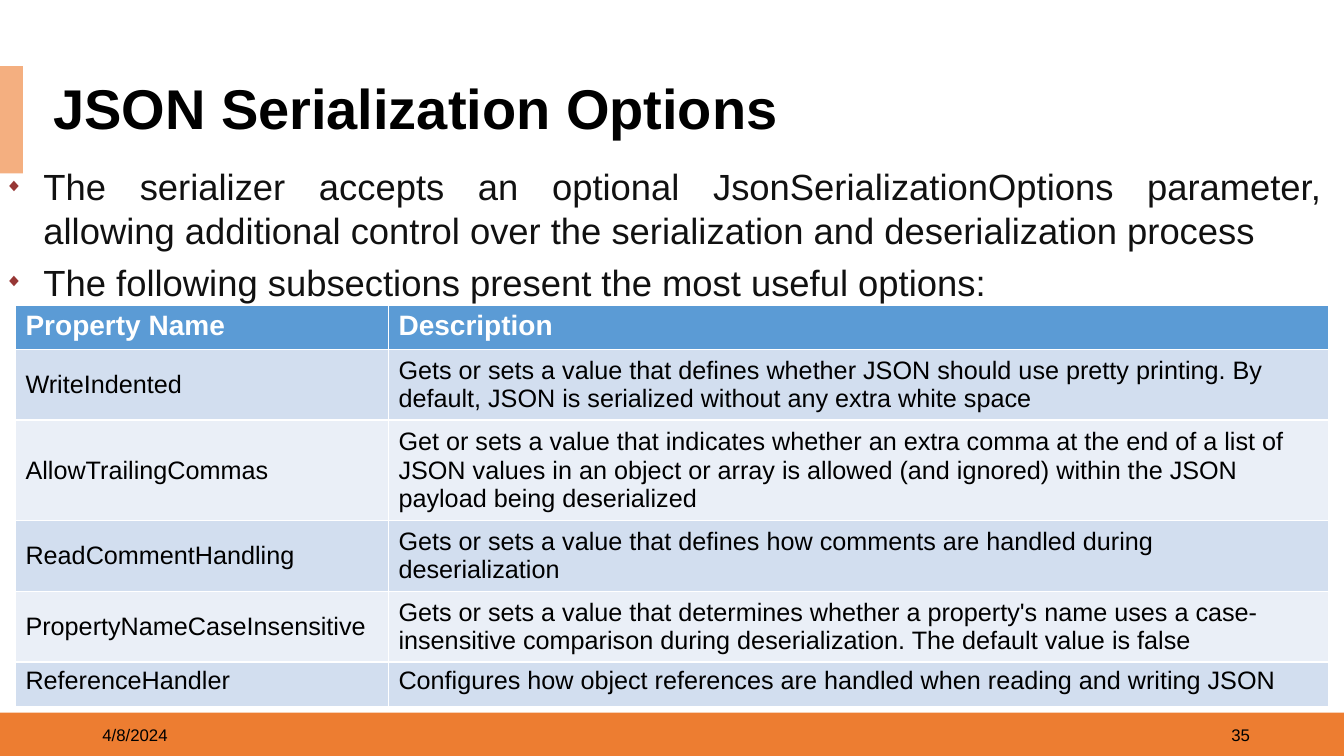
"""Build the slide on JSON serialization options."""
from dataclasses import dataclass

from lxml import etree
from pptx import Presentation
from pptx import util as u
from pptx.dml.color import RGBColor
from pptx.enum import shapes, text
from pptx.oxml import ns

WHITE = RGBColor(0xFF, 0xFF, 0xFF)
BLACK = RGBColor(0, 0, 0)
INK = RGBColor(0x11, 0x11, 0x11)
ORANGE = RGBColor(0xED, 0x7D, 0x31)
PEACH = RGBColor(0xF4, 0xAF, 0x80)
BLUE = RGBColor(0x5B, 0x9B, 0xD5)
BANDS = RGBColor(0xD2, 0xDE, 0xEF), RGBColor(0xEA, 0xEF, 0xF7)
RUBY = RGBColor(0x97, 0x37, 0x35)
FACE = "Arial"
INDENT = u.Cm(0.97)


@dataclass(frozen=True)
class Box:
    left: float
    top: float
    width: float
    height: float

    def edges(self) -> list[u.Length]:
        return [u.Cm(n) for n in (self.left, self.top, self.width, self.height)]


@dataclass(frozen=True)
class Bar:
    box: Box
    fill: RGBColor


@dataclass(frozen=True)
class Note:
    box: Box
    words: str
    align: text.PP_ALIGN


@dataclass(frozen=True)
class Option:
    name: str
    about: str
    height: float
    anchor: text.MSO_ANCHOR = text.MSO_ANCHOR.MIDDLE


BARS = [
    Bar(Box(0, 17.96, 33.87, 1.12), ORANGE),
    Bar(Box(0, 1.67, 0.58, 2.7), PEACH),
]
NOTES = [
    Note(Box(2.33, 18.01, 7.62, 1.01), "4/8/2024", text.PP_ALIGN.LEFT),
    Note(Box(24.13, 18.01, 7.62, 1.01), "35", text.PP_ALIGN.RIGHT),
]
TITLE = Box(1.09, 2.01, 30.99, 1.6)
BODY = Box(-0.13, 4.01, 33.73, 3.7)
TABLE = Box(0.39, 7.7, 33.1, 10.09)
COLS = 9.4, 23.7
POINTS = [
    "The serializer accepts an optional JsonSerializationOptions parameter, allowing "
    "additional control over the serialization and deserialization process",
    "The following subsections present the most useful options:",
]
HEAD = Option("Property Name", "Description", 1.1, text.MSO_ANCHOR.TOP)
OPTIONS = [
    Option("WriteIndented",
           "Gets or sets a value that defines whether JSON should use pretty printing. "
           "By default, JSON is serialized without any extra white space", 1.78),
    Option("AllowTrailingCommas",
           "Get or sets a value that indicates whether an extra comma at the end of a list of "
           "JSON values in an object or array is allowed (and ignored) within the JSON "
           "payload being deserialized", 2.54),
    Option("ReadCommentHandling",
           "Gets or sets a value that defines how comments are handled during "
           "deserialization", 1.78),
    Option("PropertyNameCaseInsensitive",
           "Gets or sets a value that determines whether a property's name uses a "
           "case-insensitive comparison during deserialization. The default value is false",
           1.78),
    Option("ReferenceHandler",
           "Configures how object references are handled when reading and writing JSON",
           1.11, text.MSO_ANCHOR.TOP),
]


def style(para, size: float, color: RGBColor, bold: bool = False) -> None:
    font = para.font
    font.name, font.size, font.bold = FACE, u.Pt(size), bold
    font.color.rgb = color


def place(shape, box: Box) -> None:
    shape.left, shape.top, shape.width, shape.height = box.edges()


def bullet(para) -> None:
    props = para._p.get_or_add_pPr()
    props.set("marL", str(INDENT))
    props.set("indent", str(-INDENT))
    color = etree.SubElement(props, ns.qn("a:buClr"))
    etree.SubElement(color, ns.qn("a:srgbClr"), val=str(RUBY))
    etree.SubElement(props, ns.qn("a:buSzPct"), val="50000")
    etree.SubElement(props, ns.qn("a:buChar"), char="◆")
    tabs = etree.SubElement(props, ns.qn("a:tabLst"))
    etree.SubElement(tabs, ns.qn("a:tab"), pos=str(u.Cm(0.66)), algn="l")


def draw_bar(slide, bar: Bar) -> None:
    shape = slide.shapes.add_shape(shapes.MSO_SHAPE.RECTANGLE, *bar.box.edges())
    shape.shadow.inherit = False
    shape.fill.solid()
    shape.fill.fore_color.rgb = bar.fill
    shape.line.fill.background()


def draw_note(slide, note: Note) -> None:
    frame = slide.shapes.add_textbox(*note.box.edges()).text_frame
    frame.word_wrap = True
    frame.vertical_anchor = text.MSO_ANCHOR.MIDDLE
    para = frame.paragraphs[0]
    para.text, para.alignment = note.words, note.align
    style(para, 12, BLACK)


def draw_title(slide) -> None:
    title = slide.shapes.title
    place(title, TITLE)
    title.fill.solid()
    title.fill.fore_color.rgb = WHITE
    frame = title.text_frame
    frame.text = "JSON Serialization Options"
    frame.auto_size = text.MSO_AUTO_SIZE.NONE
    frame.vertical_anchor = text.MSO_ANCHOR.MIDDLE
    para = frame.paragraphs[0]
    para.alignment, para.line_spacing = text.PP_ALIGN.LEFT, 0.9
    style(para, 40, BLACK, True)


def draw_body(slide) -> None:
    body = slide.placeholders[1]
    place(body, BODY)
    frame = body.text_frame
    frame.text = "\n".join(POINTS)
    frame.auto_size = text.MSO_AUTO_SIZE.NONE
    for i, para in enumerate(frame.paragraphs):
        para.alignment = text.PP_ALIGN.JUSTIFY
        para.space_before = u.Pt(3 if i else 0)
        para.space_after = u.Pt(3)
        bullet(para)
        style(para, 26, INK)


def draw_table(slide) -> None:
    rows = [HEAD, *OPTIONS]
    table = slide.shapes.add_table(len(rows), len(COLS), *TABLE.edges()).table
    for col, width in zip(table.columns, COLS):
        col.width = u.Cm(width)
    for i, row in enumerate(rows):
        table.rows[i].height = u.Cm(row.height)
        head = i == 0
        for j, words in enumerate((row.name, row.about)):
            cell = table.cell(i, j)
            cell.text = words
            cell.vertical_anchor = row.anchor
            cell.fill.solid()
            cell.fill.fore_color.rgb = BLUE if head else BANDS[(i - 1) % 2]
            para = cell.text_frame.paragraphs[0]
            para.alignment = text.PP_ALIGN.JUSTIFY if head else text.PP_ALIGN.LEFT
            style(para, 20 if head else 18, WHITE if head else BLACK, head)


def main() -> None:
    deck = Presentation()
    deck.slide_width, deck.slide_height = u.Cm(33.87), u.Cm(19.05)
    slide = deck.slides.add_slide(deck.slide_layouts[1])
    for bar in BARS:
        draw_bar(slide, bar)
    for note in NOTES:
        draw_note(slide, note)
    draw_title(slide)
    draw_body(slide)
    draw_table(slide)
    deck.save("out.pptx")


if __name__ == "__main__":
    main()
